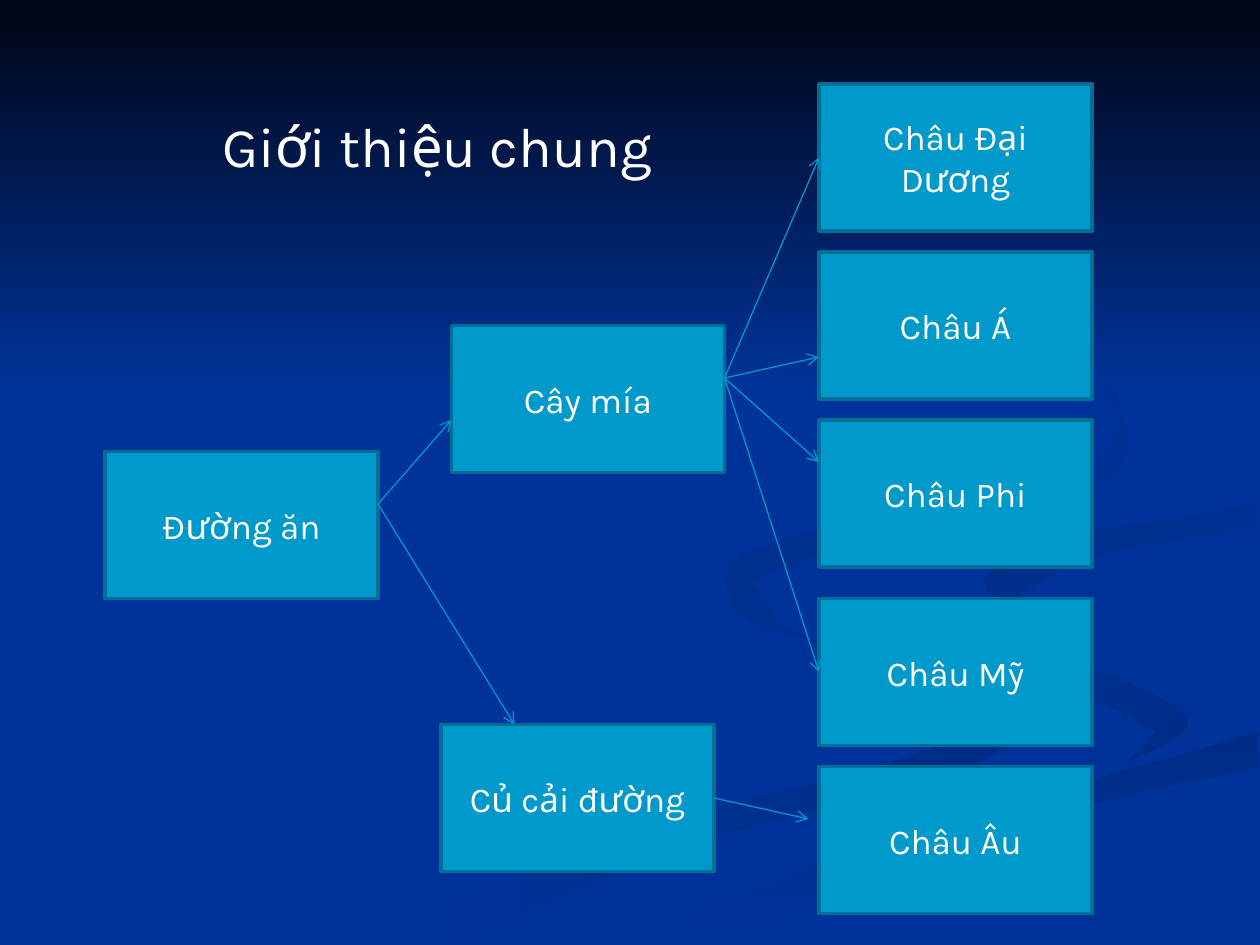
"""Build the slide that maps table sugar to its two crops and their continents."""
from dataclasses import dataclass
from typing import NamedTuple, Optional

from lxml.etree import SubElement
from pptx import Presentation
from pptx.dml.color import RGBColor as Rgb
from pptx.enum.shapes import MSO_CONNECTOR as Link, MSO_SHAPE as Form
from pptx.enum.text import MSO_ANCHOR as Anchor, PP_ALIGN as Align
from pptx.oxml.ns import qn
from pptx.util import Pt


@dataclass(frozen=True)
class Theme:
    font: str = "Karla"
    back: str = "003399"
    night: str = "000514"
    shade: str = "002C86"
    fill: str = "0099CC"
    edge: str = "006F95"
    line: str = "0098CC"
    text: str = "FFFFFF"
    head: int = 32
    body: int = 20


class Box(NamedTuple):
    key: str
    text: str
    left: float
    top: float


class Arrow(NamedTuple):
    start: tuple
    end: tuple
    tail: Optional[tuple] = None
    tip: Optional[tuple] = None


class Swirl(NamedTuple):
    first: str
    last: str
    angle: int
    sides: tuple


THEME = Theme()
WIDE, HIGH = 156, 84
LAND = 468

BOXES = (
    Box("sugar", "Đường ăn", 60, 258),
    Box("cane", "Cây mía", 258, 186),
    Box("beet", "Củ cải đường", 252, 414),
    Box("ocean", "Châu Đại Dương", LAND, 48),
    Box("asia", "Châu Á", LAND, 144),
    Box("south", "Châu Phi", LAND, 240),
    Box("west", "Châu Mỹ", LAND, 342),
    Box("north", "Châu Âu", LAND, 438),
)

SUGAR, CANE = (216, 288), (414, 216)
ARROWS = (
    Arrow(SUGAR, (258, 240)),
    Arrow(SUGAR, (294, 414)),
    Arrow(CANE, (LAND, 90), tip=("ocean", 1)),
    Arrow(CANE, (LAND, 204)),
    Arrow(CANE, (LAND, 264)),
    Arrow(CANE, (LAND, 384), tip=("west", 1)),
    Arrow((408, 456), (462, 468), tail=("beet", 3)),
)

SWIRLS = (
    Swirl(THEME.back, THEME.shade, 0, (
        ((414, 330), (427, 354), (502, 378), (566, 408), (503, 438), (359, 476), (216, 539)),
        ((260, 539), (406, 479), (544, 442), (576, 418), (562, 398), (462, 365), (414, 330)))),
    Swirl(THEME.back, THEME.shade, 45, (
        ((521, 334), (536, 353), (612, 377), (679, 410), (644, 436)),
        ((661, 418), (603, 386), (521, 334)))),
    Swirl(THEME.shade, THEME.back, 90, (
        ((362, 539), (501, 482), (624, 446), (719, 418)),
        ((719, 438), (565, 476), (411, 539)))),
    Swirl(THEME.shade, THEME.back, 45, (
        ((719, 289), (611, 307), (562, 331), (595, 357)),
        ((580, 340), (632, 316), (719, 302)))),
    Swirl(THEME.shade, THEME.back, 45, (
        ((549, 168), (626, 215), (640, 241), (606, 272), (450, 307), (415, 333), (448, 360)),
        ((429, 332), (492, 310), (616, 282), (644, 248), (607, 198), (549, 168)))),
)


def paint(fill, tone: str) -> None:
    fill.solid()
    fill.fore_color.rgb = Rgb.from_string(tone)


def blend(shape, first: str, last: str, angle: int) -> None:
    shape.shadow.inherit = False
    shape.line.fill.background()
    shape.fill.gradient()
    shape.fill.gradient_angle = -angle % 360
    for place, stop, tone in zip((0, 1), shape.fill.gradient_stops, (first, last)):
        stop.position = place
        stop.color.rgb = Rgb.from_string(tone)


def write(shape, text: str, *, size: int, align=Align.LEFT, anchor=Anchor.TOP) -> None:
    frame = shape.text_frame
    frame.word_wrap = True
    frame.vertical_anchor = anchor
    part = frame.paragraphs[0]
    part.alignment = align
    run = part.add_run()
    run.text = text
    run.font.name = THEME.font
    run.font.size = Pt(size)
    run.font.color.rgb = Rgb.from_string(THEME.text)


def curve(side: tuple, steps: int = 5) -> list:
    ends = (side[0], *side, side[-1])
    dots = [side[0]]
    for knots in zip(ends, ends[1:], ends[2:], ends[3:]):
        for step in range(1, steps + 1):
            t = step / steps
            dots.append(tuple(
                b + t * (c - a + t * (2 * a - 5 * b + 4 * c - d + t * (3 * (b - c) + d - a))) / 2
                for a, b, c, d in zip(*knots)))
    return dots


def draw_swirl(shapes, swirl: Swirl) -> None:
    dots = [dot for side in swirl.sides for dot in curve(side)]
    pen = shapes.build_freeform(*dots[0], scale=Pt(1))
    pen.add_line_segments(dots[1:], close=True)
    blend(pen.convert_to_shape(), swirl.first, swirl.last, swirl.angle)


def draw_box(shapes, box: Box):
    shape = shapes.add_shape(Form.RECTANGLE, Pt(box.left), Pt(box.top), Pt(WIDE), Pt(HIGH))
    shape.shadow.inherit = False
    paint(shape.fill, THEME.fill)
    paint(shape.line.fill, THEME.edge)
    shape.line.width = Pt(2)
    write(shape, box.text, size=THEME.body, align=Align.CENTER, anchor=Anchor.MIDDLE)
    return shape


def draw_arrow(shapes, arrow: Arrow, nodes: dict) -> None:
    line = shapes.add_connector(Link.STRAIGHT, *map(Pt, arrow.start + arrow.end))
    if arrow.tail:
        line.begin_connect(nodes[arrow.tail[0]], arrow.tail[1])
    if arrow.tip:
        line.end_connect(nodes[arrow.tip[0]], arrow.tip[1])
    paint(line.line.fill, THEME.line)
    line.line.width = Pt(0.75)
    SubElement(line.line._get_or_add_ln(), qn("a:tailEnd"), type="arrow")
    SubElement(line._element.spPr, qn("a:effectLst"))


def main() -> None:
    deck = Presentation()
    deck.slide_width, deck.slide_height = Pt(720), Pt(540)
    slide = deck.slides.add_slide(deck.slide_layouts[6])
    paint(slide.background.fill, THEME.back)
    shapes = slide.shapes
    for swirl in SWIRLS:
        draw_swirl(shapes, swirl)
    sky = shapes.add_shape(Form.RECTANGLE, Pt(0), Pt(0), Pt(720), Pt(222))
    blend(sky, THEME.night, THEME.back, 90)
    title = shapes.add_textbox(Pt(120), Pt(60), Pt(462), Pt(46))
    write(title, "Giới thiệu chung", size=THEME.head)
    nodes = {box.key: draw_box(shapes, box) for box in BOXES}
    for arrow in ARROWS:
        draw_arrow(shapes, arrow, nodes)
    deck.save("out.pptx")


if __name__ == "__main__":
    main()
